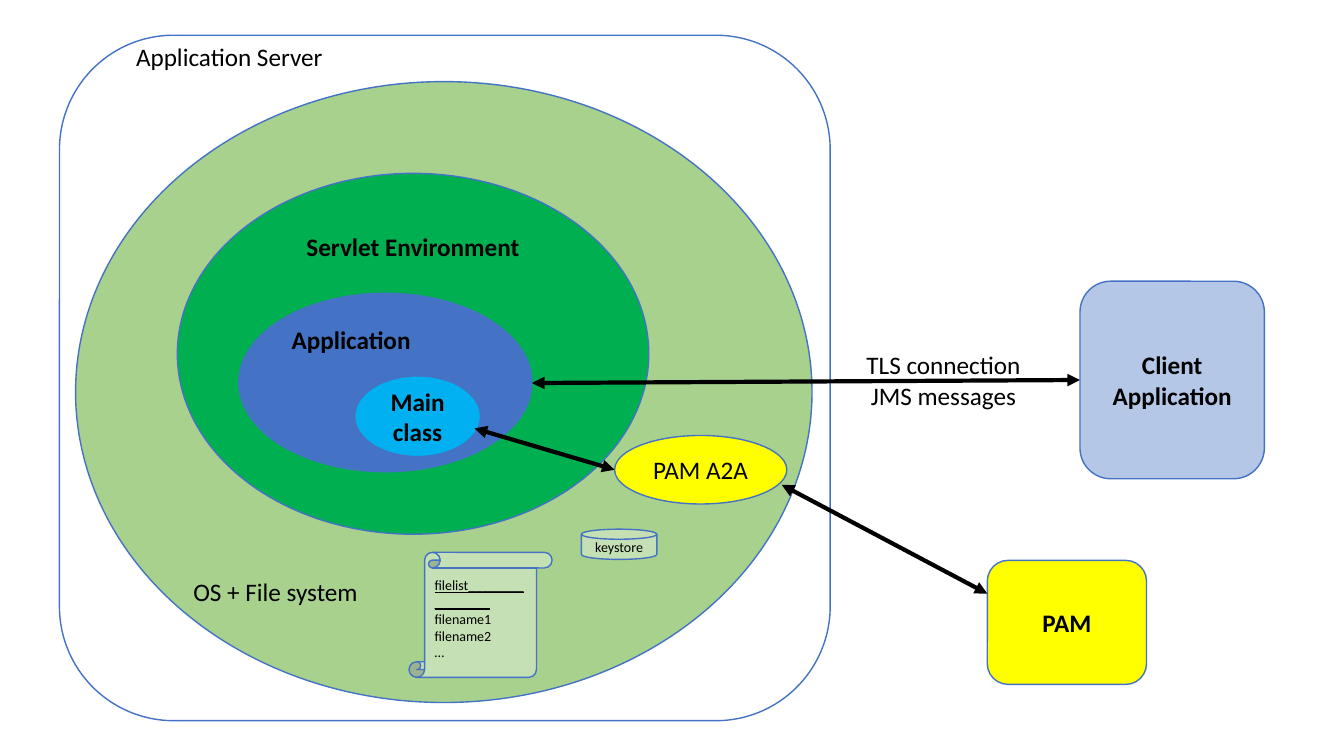
from lxml import etree
from pptx import Presentation
from pptx import util as u
from pptx.dml.color import RGBColor
from pptx.enum import shapes, text
from pptx.oxml.ns import qn

KIND = shapes.MSO_SHAPE
ANCHOR = text.MSO_ANCHOR
ALIGN = text.PP_ALIGN


def color(value):
    return RGBColor.from_string(value)


class Diagram:
    """Draws styled elements on one slide over a grid of 0.1 inch cells."""

    font = "Calibri"
    ink = "000000"
    outline = "4472C4"
    cell = u.Inches(0.1)

    def __init__(self, slide):
        self.slide = slide

    def grid(self, *cells):
        return [round(count * self.cell) for count in cells]

    def fill_text(self, shape, content, size=18, bold=False, align=ALIGN.CENTER, anchor=ANCHOR.MIDDLE):
        frame = shape.text_frame
        frame.text = content
        frame.word_wrap = True
        frame.vertical_anchor = anchor
        for paragraph in frame.paragraphs:
            paragraph.alignment = align
            for run in paragraph.runs:
                run.font.name = self.font
                run.font.size = u.Pt(size)
                run.font.bold = bold
                run.font.color.rgb = color(self.ink)

    def shape(self, kind, box, fill, content="", **style):
        shape = self.slide.shapes.add_shape(kind, *self.grid(*box))
        shape.shadow.inherit = False
        shape.fill.solid()
        shape.fill.fore_color.rgb = color(fill)
        shape.line.color.rgb = color(self.outline)
        shape.line.width = u.Pt(1)
        self.fill_text(shape, content, **style)
        return shape

    def title(self, box, content):
        title = self.slide.shapes.title
        title.left, title.top, title.width, title.height = self.grid(*box)
        self.fill_text(title, content, align=ALIGN.LEFT, anchor=ANCHOR.TOP)
        self.slide.shapes._spTree.append(title._element)

    def label(self, box, content):
        label = self.slide.shapes.add_textbox(*self.grid(*box))
        self.fill_text(label, content, anchor=ANCHOR.TOP)

    def arrow(self, start, end):
        arrow = self.slide.shapes.add_connector(
            shapes.MSO_CONNECTOR.STRAIGHT, *self.grid(*start, *end))
        arrow.line.color.rgb = color(self.ink)
        arrow.line.width = u.Pt(3)
        line = arrow.line._get_or_add_ln()
        for end_tag in ("a:headEnd", "a:tailEnd"):
            etree.SubElement(line, qn(end_tag), type="triangle")
        etree.SubElement(arrow._element.spPr, qn("a:effectLst"))


def main():
    presentation = Presentation()
    presentation.slide_width = u.Inches(13.34)
    presentation.slide_height = u.Inches(7.5)
    diagram = Diagram(presentation.slides.add_slide(presentation.slide_layouts[5]))

    diagram.shape(KIND.ROUNDED_RECTANGLE, (5.9, 3.5, 76.5, 68), "FFFFFF")
    diagram.shape(KIND.OVAL, (7.5, 8.1, 73.1, 61.6), "A9D18E", "OS + File system",
                  align=ALIGN.LEFT, anchor=ANCHOR.BOTTOM)
    diagram.shape(KIND.OVAL, (17.6, 17.2, 46.8, 35.8), "00B050", "Servlet Environment",
                  bold=True, anchor=ANCHOR.TOP)
    diagram.shape(KIND.OVAL, (23.7, 29.1, 29.1, 17.7), "4472C4", "Application",
                  bold=True, align=ALIGN.LEFT, anchor=ANCHOR.TOP)
    diagram.shape(KIND.OVAL, (35.2, 37.3, 12.5, 8), "00B0F0", "Main class", bold=True)

    file_list = diagram.shape(
        KIND.VERTICAL_SCROLL, (40.6, 54.8, 14.2, 12.4), "C5E0B4",
        "filelist________\n________\nfilename1\nfilename2\n…", size=10, align=ALIGN.LEFT)
    for paragraph in file_list.text_frame.paragraphs[:2]:
        paragraph.runs[0].font.underline = True

    diagram.arrow((52.8, 38), (107.2, 37.7))
    diagram.title((12.5, 3.6, 23.8, 4), "Application Server")
    diagram.shape(KIND.FLOWCHART_MAGNETIC_DISK, (57.7, 52.5, 7.5, 3), "C5E0B4", "keystore", size=10)
    diagram.shape(KIND.ROUNDED_RECTANGLE, (107.2, 27.9, 18.3, 19.6), "B4C7E7",
                  "Client Application", bold=True)
    diagram.label((84, 34.2, 19.3, 7), "TLS connection\nJMS messages")
    diagram.shape(KIND.OVAL, (61, 43.2, 17.1, 6.8), "FFFF00", "PAM A2A")
    diagram.shape(KIND.ROUNDED_RECTANGLE, (98, 55.6, 15.8, 12.3), "FFFF00", "PAM", bold=True)
    diagram.arrow((77.6, 48.1), (98, 58.9))
    diagram.arrow((47.1, 42.5), (61, 46.6))

    presentation.save("out.pptx")


if __name__ == "__main__":
    main()
